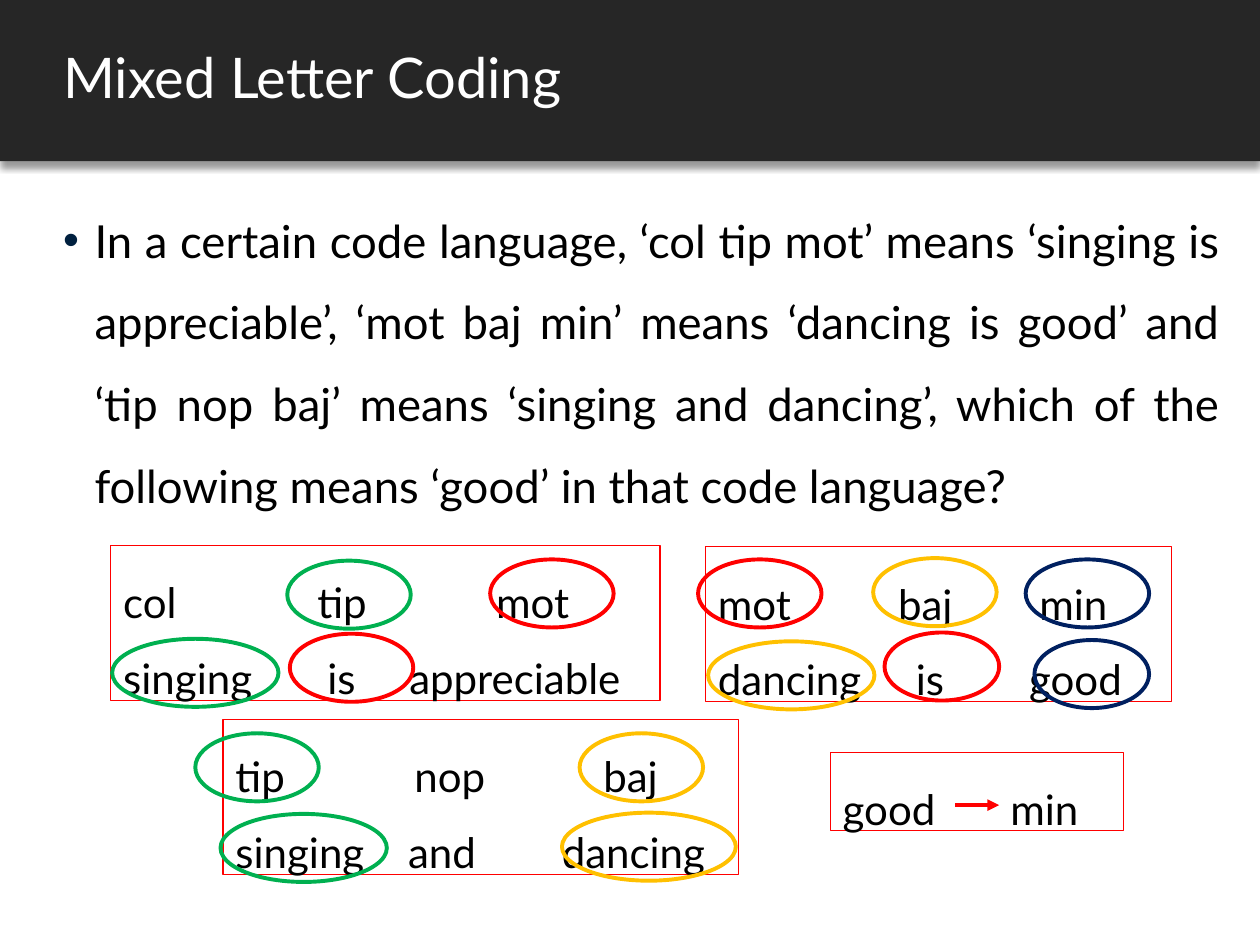
from dataclasses import dataclass

from lxml import etree
from pptx import Presentation
from pptx import util as u
from pptx.dml.color import RGBColor
from pptx.enum import shapes, text
from pptx.oxml import ns

Inches, Pt = u.Inches, u.Pt


@dataclass(frozen=True)
class Theme:
    """Colours, font and type sizes of the slide."""
    font: str = "Lato"
    header: str = "262626"
    white: str = "FFFFFF"
    black: str = "000000"
    bullet: str = "00203F"
    red: str = "FF0000"
    green: str = "00B050"
    amber: str = "FFC000"
    navy: str = "002060"
    title_size: int = 32
    body_size: int = 26
    code_size: int = 24
    thin: float = 0.75
    thick: float = 2.25


THEME = Theme()

QUESTION = (
    "In a certain code language, ‘col tip mot’ means ‘singing is appreciable’, "
    "‘mot baj min’ means ‘dancing is good’ and ‘tip nop baj’ means "
    "‘singing and dancing’, which of the following means ‘good’ in that code language?"
)

CODE_BOXES = [
    ((5.6, 4.34, 3.7, 1.23), [
        (["mot", "baj", "min"], [1.43, 2.55]),
        (["dancing", "is", "good"], [1.57, 2.47])]),
    ((0.88, 4.33, 4.36, 1.23), [
        (["col", "tip", "mot"], [1.54, 2.96]),
        (["singing", "is", "appreciable"], [1.62, 2.27])]),
    ((1.77, 5.71, 4.09, 1.23), [
        (["tip", "nop", "baj"], [1.42, 2.92]),
        (["singing", "and", "dancing"], [1.37, 2.59])]),
]

ANSWER_BOX = ((6.59, 5.97, 2.33, 0.62), [(["good", "min"], [1.33])])

RING_HEIGHT = 0.54
RINGS = {
    THEME.green: [(0.89, 5.07, 1.32), (2.28, 4.45, 0.98),
                  (1.75, 6.46, 1.32), (1.55, 5.82, 0.98)],
    THEME.amber: [(5.62, 5.09, 1.32), (6.93, 4.43, 0.98),
                  (4.46, 6.45, 1.38), (4.6, 5.82, 0.98)],
    THEME.red: [(7.02, 5.02, 0.91), (2.3, 5.03, 0.98),
                (3.89, 4.44, 0.98), (5.54, 4.44, 0.98)],
    THEME.navy: [(8.21, 5.08, 0.91), (8.14, 4.44, 0.98)],
}


def add_xml(parent, tag, **attributes):
    """Append a DrawingML element and return it."""
    names = {name: str(value) for name, value in attributes.items()}
    return etree.SubElement(parent, ns.qn(tag), names)


def add_run(paragraph, words, size, color):
    """Append a run in the theme font."""
    run = paragraph.add_run()
    run.text = words
    run.font.name = THEME.font
    run.font.size = Pt(size)
    run.font.color.rgb = RGBColor.from_string(color)


def place(shape, box):
    """Move a shape to a box given in inches."""
    shape.left, shape.top, shape.width, shape.height = map(Inches, box)


def set_line(shape, color, width):
    """Give a shape a solid outline."""
    shape.line.color.rgb = RGBColor.from_string(color)
    shape.line.width = Pt(width)


def add_header(slide, box):
    """Draw the dark band with its shadow and set the title on it."""
    left, top, width, height = box
    band = slide.shapes.add_shape(shapes.MSO_SHAPE.RECTANGLE, *map(Inches, box))
    band.fill.solid()
    band.fill.fore_color.rgb = RGBColor.from_string(THEME.header)
    band.line.fill.background()
    effects = add_xml(band._element.spPr, "a:effectLst")
    shadow = add_xml(effects, "a:outerShdw", blurRad=Pt(4), dist=Pt(3),
                     dir=90 * 60000, algn="t", rotWithShape=0)
    add_xml(add_xml(shadow, "a:srgbClr", val=THEME.black), "a:alpha", val=40000)

    title = slide.shapes.title
    title._element.addprevious(band._element)
    place(title, (left + 0.4, top, width - 0.4, height))
    title.text_frame.vertical_anchor = text.MSO_ANCHOR.MIDDLE
    title.text_frame.auto_size = text.MSO_AUTO_SIZE.NONE
    paragraph = title.text_frame.paragraphs[0]
    paragraph.alignment = text.PP_ALIGN.LEFT
    paragraph.line_spacing = 0.9
    paragraph.space_after = Pt(6)
    add_run(paragraph, "Mixed Letter Coding", THEME.title_size, THEME.white)


def add_question(slide, box):
    """Set the question as a justified bullet in the body placeholder."""
    body = slide.placeholders[1]
    place(body, box)
    body.text_frame.auto_size = text.MSO_AUTO_SIZE.NONE
    paragraph = body.text_frame.paragraphs[0]
    paragraph.alignment = text.PP_ALIGN.JUSTIFY
    paragraph.line_spacing = 1.5
    paragraph.space_before = Pt(0)
    properties = paragraph._p.get_or_add_pPr()
    properties.set("marL", str(Inches(0.25)))
    properties.set("indent", str(Inches(-0.25)))
    add_xml(add_xml(properties, "a:buClr"), "a:srgbClr", val=THEME.bullet)
    add_xml(properties, "a:buFont", typeface="Arial")
    add_xml(properties, "a:buChar", char="•")
    add_run(paragraph, QUESTION, THEME.body_size, THEME.black)


def add_code_box(slide, box, rows):
    """Draw a red-framed box with rows of words set on tab stops."""
    frame = slide.shapes.add_textbox(*map(Inches, box))
    set_line(frame, THEME.red, THEME.thin)
    text_frame = frame.text_frame
    text_frame.word_wrap = True
    text_frame.auto_size = text.MSO_AUTO_SIZE.SHAPE_TO_FIT_TEXT
    for index, (words, stops) in enumerate(rows):
        paragraph = text_frame.add_paragraph() if index else text_frame.paragraphs[0]
        paragraph.alignment = text.PP_ALIGN.JUSTIFY
        paragraph.line_spacing = 1.5
        tabs = add_xml(paragraph._p.get_or_add_pPr(), "a:tabLst")
        for stop in stops:
            add_xml(tabs, "a:tab", pos=Inches(stop), algn="l")
        add_run(paragraph, "\t".join(words), THEME.code_size, THEME.black)


def add_answer(slide, box, rows):
    """Draw the answer box with an arrow between its two words."""
    add_code_box(slide, box, rows)
    left, top = box[:2]
    start, end, middle = Inches(left + 0.99), Inches(left + 1.34), Inches(top + 0.42)
    arrow = slide.shapes.add_connector(
        shapes.MSO_CONNECTOR.STRAIGHT, start, middle, end, middle)
    set_line(arrow, THEME.red, THEME.thick)
    add_xml(arrow.line._get_or_add_ln(), "a:tailEnd", type="triangle")
    add_xml(arrow._element.spPr, "a:effectLst")


def add_ring(slide, box, color):
    """Circle a word with an unfilled ellipse."""
    ring = slide.shapes.add_shape(shapes.MSO_SHAPE.OVAL, *map(Inches, box))
    ring.fill.background()
    set_line(ring, color, THEME.thick)
    ring.shadow.inherit = False


def main():
    """Build the slide and save it."""
    presentation = Presentation()
    presentation.slide_width = Inches(10)
    presentation.slide_height = Inches(7.5)
    slide = presentation.slides.add_slide(presentation.slide_layouts[1])
    add_header(slide, (0, 0, 10, 1.28))
    add_question(slide, (0.4, 1.42, 9.39, 5.91))
    for box, rows in CODE_BOXES:
        add_code_box(slide, box, rows)
    add_answer(slide, *ANSWER_BOX)
    for color, rings in RINGS.items():
        for left, top, width in rings:
            add_ring(slide, (left, top, width, RING_HEIGHT), color)
    presentation.save("out.pptx")


if __name__ == "__main__":
    main()
